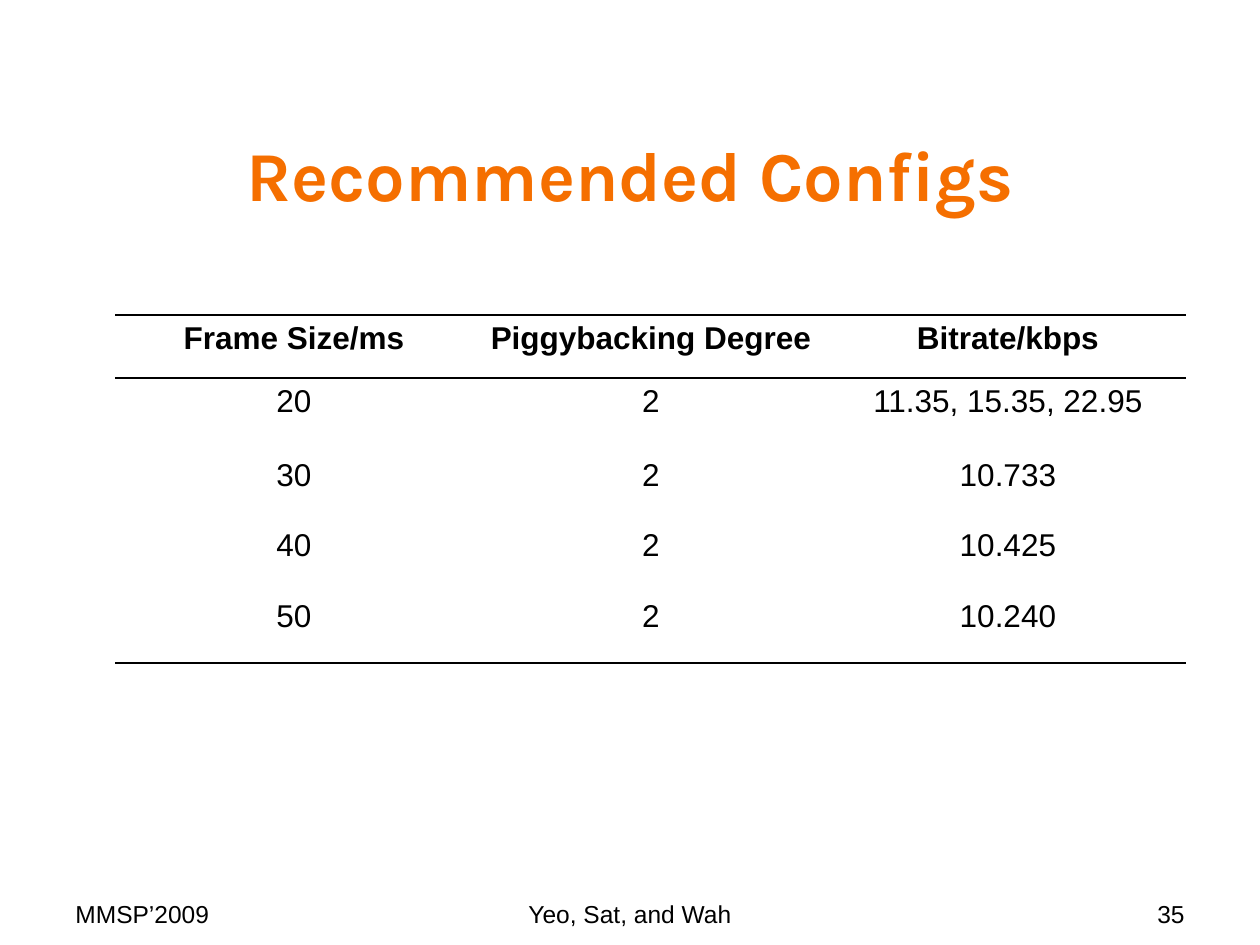
from lxml import etree
from pptx import Presentation
from pptx.dml.color import RGBColor
from pptx.enum.text import MSO_ANCHOR as ANCHOR, PP_ALIGN as ALIGN
from pptx.oxml.ns import qn
from pptx.util import Pt

BLACK, ORANGE = "000000", "F56F00"
ROWS = [
    ("Frame Size/ms", "Piggybacking Degree", "Bitrate/kbps"),
    ("20", "2", "11.35, 15.35, 22.95"),
    ("30", "2", "10.733"),
    ("40", "2", "10.425"),
    ("50", "2", "10.240"),
]
ROW_HEIGHTS = [36, 42, 40.3, 40.3, 40.3]


def color(value):
    return RGBColor.from_string(value)


def style(p, size, align, font="Arial", fill=BLACK, bold=False):
    p.alignment = align
    p.font.name = font
    p.font.size = Pt(size)
    p.font.bold = bold
    p.font.color.rgb = color(fill)


def add_text(s, box, text, size, align, anchor=ANCHOR.TOP, **font):
    tf = s.shapes.add_textbox(*map(Pt, box)).text_frame
    tf.word_wrap = True
    tf.vertical_anchor = anchor
    p = tf.paragraphs[0]
    p.text = text
    style(p, size, align, **font)


def set_borders(cell, visible):
    tc_pr = cell._tc.get_or_add_tcPr()
    for side in ("lnL", "lnR", "lnT", "lnB"):
        ln = etree.SubElement(tc_pr, qn(f"a:{side}"))
        if side in visible:
            ln.set("w", str(Pt(1.08)))
            solid = etree.SubElement(ln, qn("a:solidFill"))
            etree.SubElement(solid, qn("a:srgbClr"), val=BLACK)
        else:
            etree.SubElement(ln, qn("a:noFill"))


def add_title(s, box):
    add_text(s, box, "Recommended Configs", 40, ALIGN.CENTER, ANCHOR.MIDDLE,
             font="Karla", fill=ORANGE, bold=True)


def add_config_table(s, box):
    table = s.shapes.add_table(len(ROWS), len(ROWS[0]), *map(Pt, box)).table
    table.first_row = table.horz_banding = False
    for column in table.columns:
        column.width = Pt(box[2] / len(ROWS[0]))
    borders = {0: ("lnT", "lnB"), 1: ("lnT",), len(ROWS) - 1: ("lnB",)}
    for i, (values, height) in enumerate(zip(ROWS, ROW_HEIGHTS)):
        table.rows[i].height = Pt(height)
        for cell, value in zip(table.rows[i].cells, values):
            set_borders(cell, borders.get(i, ()))
            cell.fill.background()
            cell.text = value
            style(cell.text_frame.paragraphs[0], 18, ALIGN.CENTER, bold=i == 0)


def add_footer(s, box):
    left, top, width, height = box
    side, middle = 168, 228
    parts = [
        ("MMSP’2009", left, side, ALIGN.LEFT),
        ("35", left + width - side, side, ALIGN.RIGHT),
        ("Yeo, Sat, and Wah", left + (width - middle) / 2, middle, ALIGN.CENTER),
    ]
    for text, x, w, align in parts:
        add_text(s, (x, top, w, height), text, 14, align)


def main():
    prs = Presentation()
    prs.slide_width, prs.slide_height = Pt(720), Pt(540)
    s = prs.slides.add_slide(prs.slide_layouts[6])
    add_title(s, (36, 54, 648, 90))
    add_config_table(s, (66, 180, 612, sum(ROW_HEIGHTS)))
    add_footer(s, (36, 510, 648, 19.5))
    prs.save("out.pptx")


if __name__ == "__main__":
    main()
